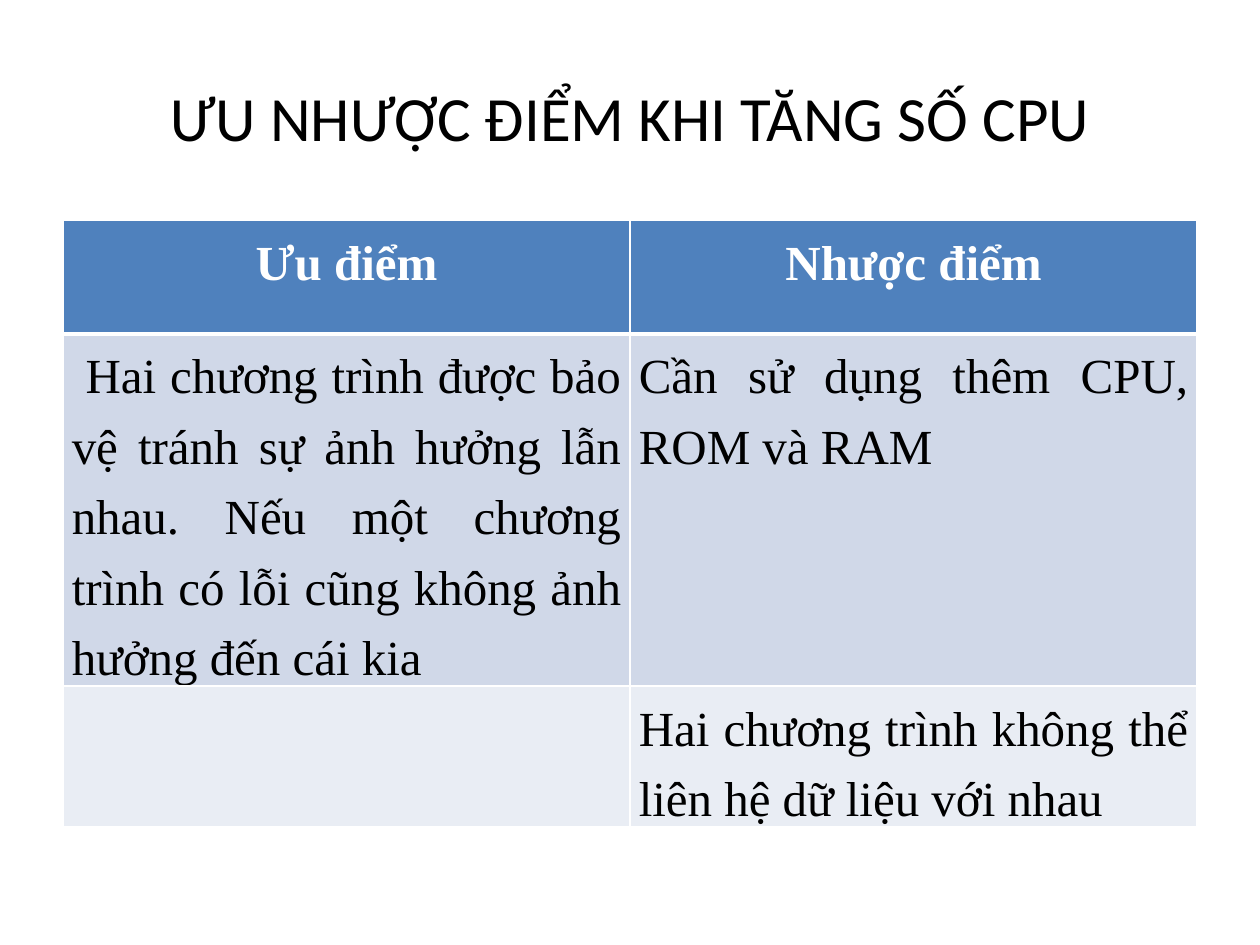
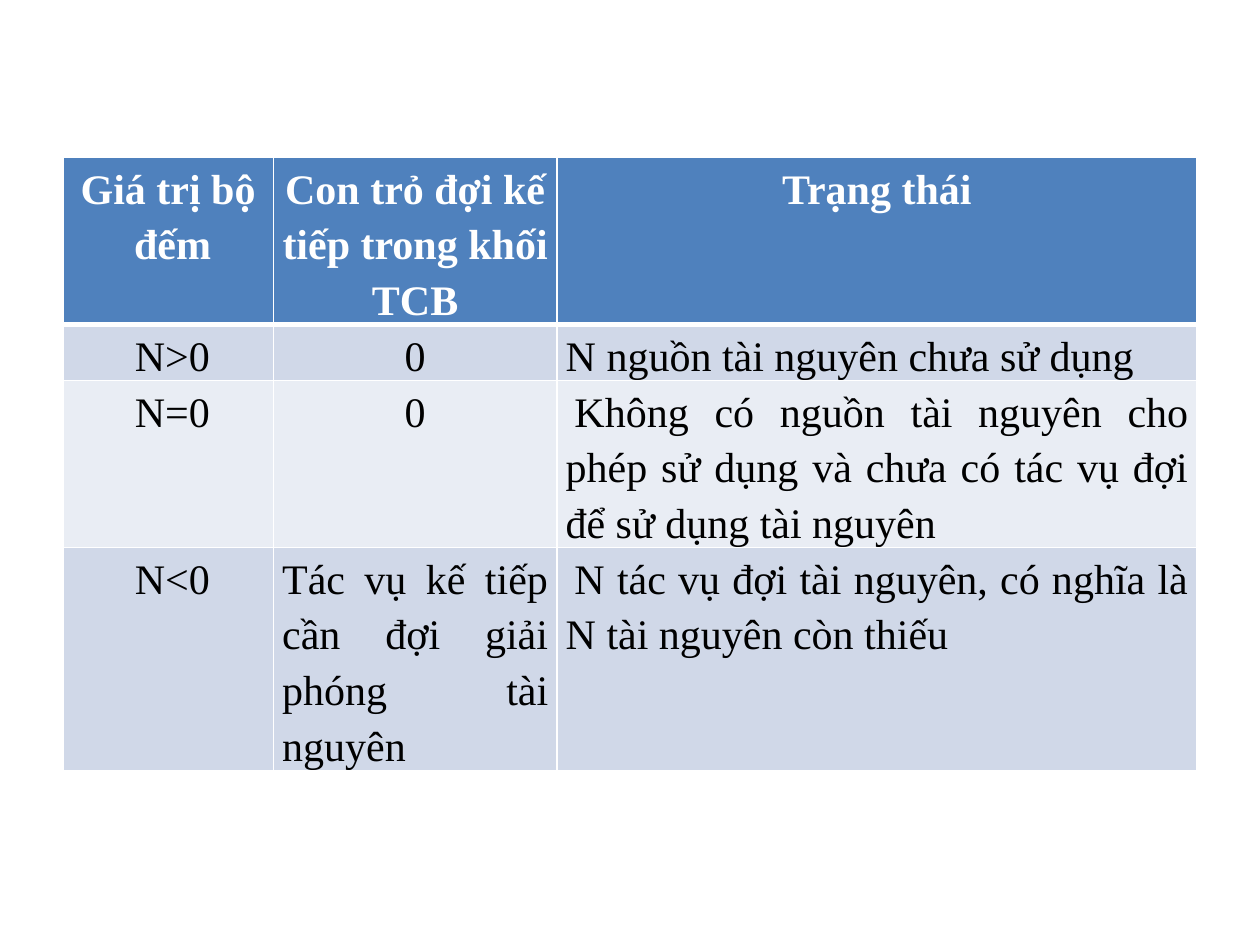
from lxml import etree
from pptx import Presentation
from pptx.dml.color import RGBColor
from pptx.enum.text import MSO_ANCHOR, PP_ALIGN
from pptx.oxml.ns import qn
from pptx.util import Inches, Pt

WHITE = RGBColor(0xFF, 0xFF, 0xFF)
BLACK = RGBColor(0x00, 0x00, 0x00)
HEADER_BLUE = RGBColor(0x4F, 0x81, 0xBD)
BANDS = [RGBColor(0xD0, 0xD8, 0xE8), RGBColor(0xE9, 0xED, 0xF4)]

TITLE_FONT = {"name": "Calibri", "size": Pt(36)}
TABLE_FONT = "Times New Roman"
MARGIN = 0.5
CELL_MARGINS = {"margin_left": Inches(0.07), "margin_right": Inches(0.07),
                "margin_top": 0, "margin_bottom": 0}
HEADER_BORDERS = {"a:lnL": 1, "a:lnR": 1, "a:lnT": 1, "a:lnB": 3}

# Paragraph styles: alignment, left margin, first-line indent
STYLES = {
    "center": (PP_ALIGN.CENTER, 0, 0),
    "center_hanging": (PP_ALIGN.CENTER, 0.07, -0.07),
    "justify": (PP_ALIGN.JUSTIFY, 0, 0),
    "justify_hanging": (PP_ALIGN.JUSTIFY, 0.07, -0.07),
    "justify_first": (PP_ALIGN.JUSTIFY, 0, 0.07),
    "justify_inset": (PP_ALIGN.JUSTIFY, 0.5, 0),
}

SLIDES = [
    {
        "title": "ƯU NHƯỢC ĐIỂM KHI TĂNG SỐ CPU",
        "top": 1.75, "height": 5.15,
        "columns": [4.5, 4.5], "rows": [0.9, 2.03, 0.9],
        "size": 28, "line_spacing": 1.3, "last_column_after": 0,
        "cells": [
            [("Ưu điểm", "center"), ("Nhược điểm", "center")],
            [(" Hai chương trình được bảo vệ tránh sự ảnh hưởng lẫn nhau. "
              "Nếu một chương trình có lỗi cũng không ảnh hưởng đến cái kia", "justify"),
             ("Cần sử dụng thêm CPU, ROM và RAM", "justify")],
            [None, ("Hai chương trình không thể liên hệ dữ liệu với nhau", "justify")],
        ],
    },
    {
        "title": None,
        "top": 1.25, "height": 5.28,
        "columns": [1.67, 2.25, 5.08], "rows": [0.41] * 4,
        "size": 24, "line_spacing": 1.2, "last_column_after": 10,
        "cells": [
            [("Giá trị bộ đếm", "center_hanging"),
             ("Con trỏ đợi kế tiếp trong khối TCB", "center"),
             ("Trạng thái", "center")],
            [("N>0", "justify_inset"), ("0", "center"),
             ("N nguồn tài nguyên chưa sử dụng", "justify_hanging")],
            [("N=0", "justify_inset"), ("0", "center"),
             ("Không có nguồn tài nguyên cho phép sử dụng và chưa có tác vụ đợi "
              "để sử dụng tài nguyên", "justify_first")],
            [("N<0", "justify_inset"),
             ("Tác vụ kế tiếp cần đợi giải phóng tài nguyên", "justify"),
             ("N tác vụ đợi tài nguyên, có nghĩa là N tài nguyên còn thiếu",
              "justify_first")],
        ],
    },
]


def apply(target, values):
    for name, value in values.items():
        setattr(target, name, value)


def add_title(page, text):
    title = page.shapes.title
    apply(title, {"left": Inches(MARGIN), "top": Inches(0.3),
                  "width": Inches(9), "height": Inches(1.25)})
    title.text_frame.text = text
    title.text_frame.vertical_anchor = MSO_ANCHOR.MIDDLE
    para = title.text_frame.paragraphs[0]
    para.alignment = PP_ALIGN.CENTER
    apply(para.runs[0].font, TITLE_FONT)
    para.runs[0].font.color.rgb = BLACK


def add_header_borders(cell):
    properties = cell._tc.get_or_add_tcPr()
    for tag, width in HEADER_BORDERS.items():
        line = etree.SubElement(properties, qn(tag), w=str(Pt(width)))
        fill = etree.SubElement(line, qn("a:solidFill"))
        etree.SubElement(fill, qn("a:srgbClr"), val=str(WHITE))


def write_cell(cell, text, style, content, is_header, space_after):
    para = cell.text_frame.paragraphs[0]
    alignment, left, first = STYLES[style]
    apply(para, {"alignment": alignment, "line_spacing": content["line_spacing"],
                 "space_after": Pt(space_after)})
    properties = para._p.get_or_add_pPr()
    properties.set("marL", str(Inches(left)))
    properties.set("indent", str(Inches(first)))
    span = para.add_run()
    span.text = text
    apply(span.font, {"name": TABLE_FONT, "size": Pt(content["size"]),
                      "bold": is_header})
    span.font.color.rgb = WHITE if is_header else BLACK


def add_table(page, content):
    columns, rows = content["columns"], content["rows"]
    frame = page.shapes.add_table(
        len(rows), len(columns), Inches(MARGIN), Inches(content["top"]),
        Inches(sum(columns)), Inches(content["height"]))
    table = frame.table
    for column, width in zip(table.columns, columns):
        column.width = Inches(width)
    for row, height in zip(table.rows, rows):
        row.height = Inches(height)
    frame.height = Inches(content["height"])

    for row_index, entries in enumerate(content["cells"]):
        is_header = row_index == 0
        for column_index, entry in enumerate(entries):
            cell = table.cell(row_index, column_index)
            apply(cell, CELL_MARGINS)
            if is_header:
                add_header_borders(cell)
            cell.fill.solid()
            cell.fill.fore_color.rgb = (
                HEADER_BLUE if is_header else BANDS[(row_index - 1) % 2])
            if entry:
                is_last = column_index == len(columns) - 1
                space_after = content["last_column_after"] if is_last else 0
                write_cell(cell, *entry, content, is_header, space_after)


def main():
    deck = Presentation()
    deck.slide_width, deck.slide_height = Inches(10), Inches(7.5)
    title_only, blank = deck.slide_layouts[5], deck.slide_layouts[6]
    for content in SLIDES:
        page = deck.slides.add_slide(title_only if content["title"] else blank)
        if content["title"]:
            add_title(page, content["title"])
        add_table(page, content)
    deck.save("out.pptx")


if __name__ == "__main__":
    main()
